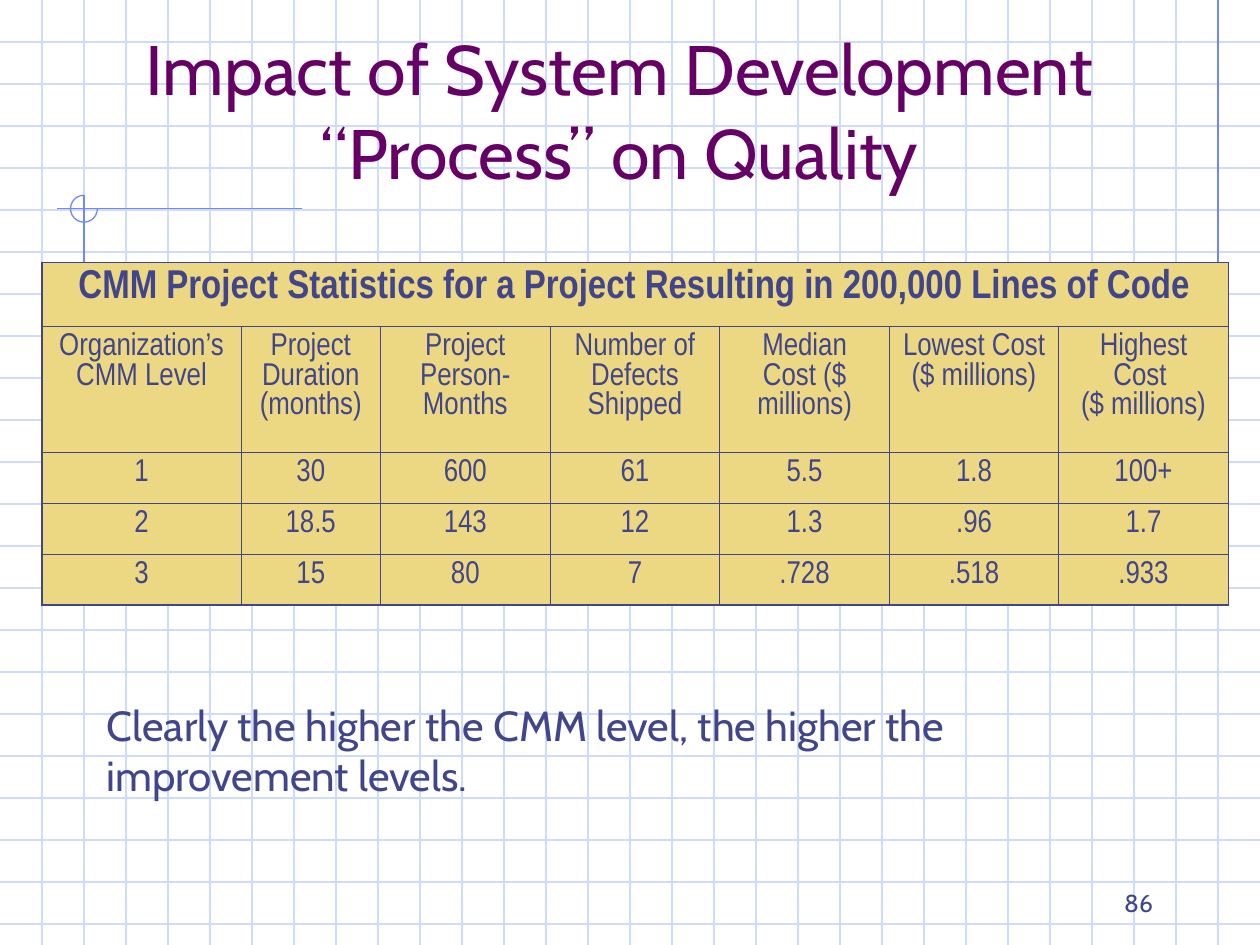
from lxml import etree
from pptx import Presentation
from pptx.dml.color import RGBColor
from pptx.enum.shapes import MSO_CONNECTOR, MSO_SHAPE
from pptx.enum.text import MSO_ANCHOR, PP_ALIGN
from pptx.oxml.ns import qn
from pptx.util import Inches, Pt

STRAIGHT, ARC = MSO_CONNECTOR.STRAIGHT, MSO_SHAPE.ARC
LEFT, CENTER, RIGHT = PP_ALIGN.LEFT, PP_ALIGN.CENTER, PP_ALIGN.RIGHT
TOP, BOTTOM = MSO_ANCHOR.TOP, MSO_ANCHOR.BOTTOM

GRID_BLUE = RGBColor(0xCF, 0xDB, 0xFD)
ACCENT_BLUE = RGBColor(0x6F, 0x89, 0xF7)
PURPLE = RGBColor(0x66, 0x00, 0x66)
INDIGO = RGBColor(0x40, 0x45, 0x8C)
SAND = RGBColor(0xEC, 0xD8, 0x82)

# All lengths below are counted in squares of the background grid.
SQUARE = Inches(1) // 3
GRID_COLUMNS, GRID_ROWS = 30, 22.5
THIN = Pt(0.75)

presentation = Presentation()
presentation.slide_width = int(GRID_COLUMNS * SQUARE)
presentation.slide_height = int(GRID_ROWS * SQUARE)
slide = presentation.slides.add_slide(presentation.slide_layouts[6])


def draw_line(start_x, start_y, end_x, end_y, color):
    ends = [int(value * SQUARE) for value in (start_x, start_y, end_x, end_y)]
    line = slide.shapes.add_connector(STRAIGHT, *ends)
    line.line.color.rgb = color
    line.line.width = THIN
    etree.SubElement(line._element.spPr, qn("a:effectLst"))


def write_text(text_frame, text, size, font="Cabin", color=INDIGO, bold=False, align=LEFT):
    text_frame.word_wrap = True
    paragraph = text_frame.paragraphs[0]
    paragraph.text = text
    paragraph.alignment = align
    for run in paragraph.runs:
        run.font.size = Pt(size)
        run.font.name = font
        run.font.bold = bold
        run.font.color.rgb = color


# Background grid
for row in range(1, 23):
    draw_line(0, row, GRID_COLUMNS, row, GRID_BLUE)
for column in range(1, 30):
    draw_line(column, 0, column, GRID_ROWS, GRID_BLUE)

# Accent lines and the open circle where two of them cross
draw_line(29, 0, 29, 7.75, ACCENT_BLUE)
draw_line(7.2, 4.97, 1.35, 4.97, ACCENT_BLUE)
draw_line(2, 4.65, 2, 12.27, ACCENT_BLUE)
circle_box = [int(value * SQUARE) for value in (1.68, 4.65, 0.64, 0.64)]
circle = slide.shapes.add_shape(ARC, *circle_box)
circle.adjustments[0] = 0
circle.adjustments[1] = 162  # 270 degrees, in units of 100000/60000 of a degree
circle.shadow.inherit = False
circle.fill.background()
circle.line.color.rgb = ACCENT_BLUE
circle.line.width = THIN

# Title, conclusion and slide number
text_boxes = [
    ((2, 1, 25.5, 3.75), BOTTOM, "Impact of System Development “Process” on Quality",
     dict(size=40, color=PURPLE, align=CENTER)),
    ((2.25, 16.5, 25.75, 2.7), TOP,
     "Clearly the higher the CMM level, the higher the improvement levels.", dict(size=24)),
    ((21.5, 20.5, 6.25, 1.5), BOTTOM, "86", dict(size=14, align=RIGHT)),
]
for box, anchor, text, text_format in text_boxes:
    text_box = slide.shapes.add_textbox(*[int(value * SQUARE) for value in box])
    text_box.text_frame.vertical_anchor = anchor
    write_text(text_box.text_frame, text, **text_format)

# Table of project statistics
HEADING = "CMM Project Statistics for a Project Resulting in 200,000 Lines of Code"
statistics = [
    [HEADING] + [""] * 6,
    ["Organization’s CMM Level", "Project Duration (months)", "Project Person-Months",
     "Number of Defects Shipped", "Median Cost ($ millions)", "Lowest Cost ($ millions)",
     "Highest Cost \n($ millions)"],
    ["1", "30", "600", "61", "5.5", "1.8", "100+"],
    ["2", "18.5", "143", "12", "1.3", ".96", "1.7"],
    ["3", "15", "80", "7", ".728", ".518", ".933"],
]
column_widths = [4.74, 3.32, 4.04, 4.04, 4.04, 4.03, 4.04]
row_heights = [1.52, 3, 1.21, 1.21, 1.21]
last_row, last_column = len(row_heights) - 1, len(column_widths) - 1

table = slide.shapes.add_table(
    len(row_heights), len(column_widths), SQUARE, int(6.25 * SQUARE),
    int(sum(column_widths) * SQUARE), int(sum(row_heights) * SQUARE)).table
for column, width in zip(table.columns, column_widths):
    column.width = int(width * SQUARE)
for row, height in zip(table.rows, row_heights):
    row.height = int(height * SQUARE)
table.cell(0, 0).merge(table.cell(0, last_column))

for row_index, row_values in enumerate(statistics):
    for column_index, value in enumerate(row_values):
        cell = table.cell(row_index, column_index)
        cell.fill.solid()
        cell.fill.fore_color.rgb = SAND
        if value:
            is_heading = row_index == 0
            write_text(cell.text_frame, value, size=23 if is_heading else 18,
                       font="Arial Narrow", bold=is_heading, align=CENTER)
        on_outer_edge = {
            "a:lnL": column_index == 0,
            "a:lnR": column_index == last_column,
            "a:lnT": row_index == 0,
            "a:lnB": row_index == last_row,
        }
        cell_properties = cell._tc.get_or_add_tcPr()
        for position, (side, is_outer) in enumerate(on_outer_edge.items()):
            border = etree.Element(qn(side), w=str(Pt(1.08 if is_outer else 0.45)))
            border_fill = etree.SubElement(border, qn("a:solidFill"))
            etree.SubElement(border_fill, qn("a:srgbClr"), val=str(INDIGO))
            cell_properties.insert(position, border)

presentation.save("out.pptx")
